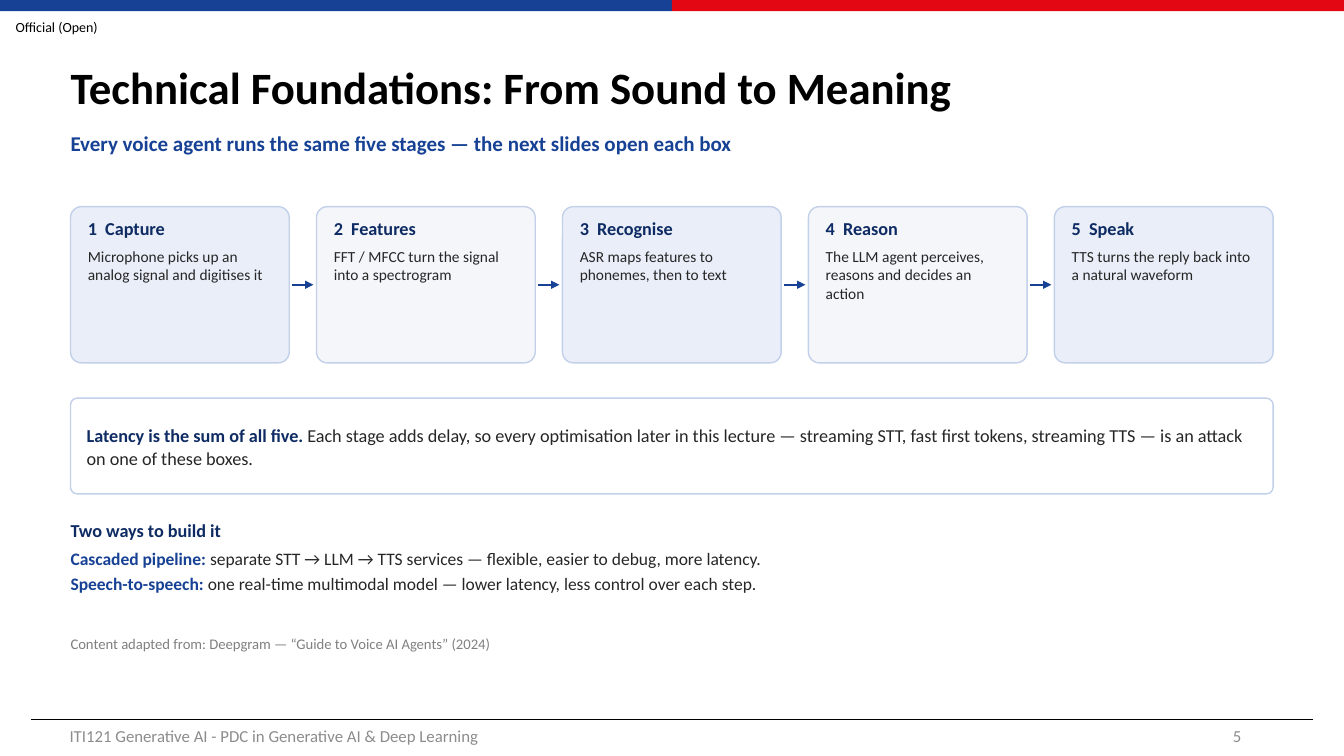
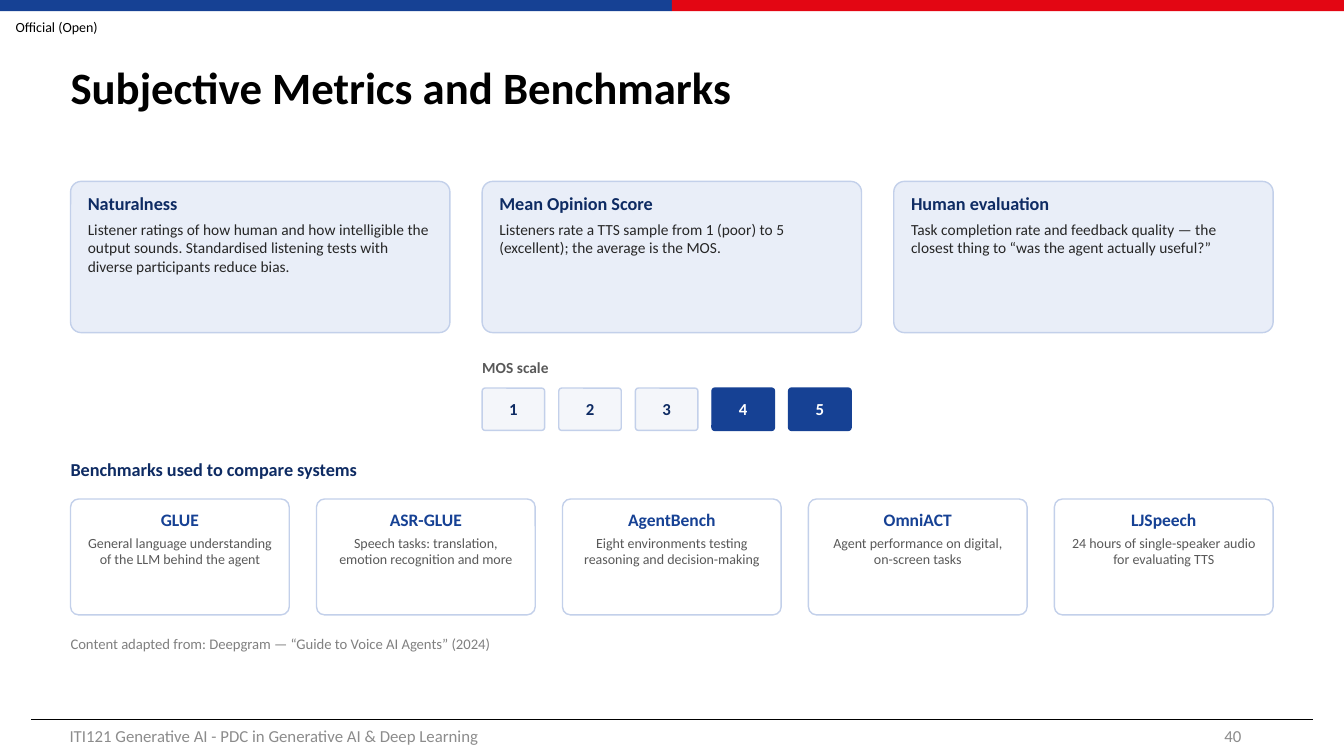
"""Build two lecture slides on voice agents and save them to out.pptx."""
from dataclasses import dataclass

from pptx import Presentation
from pptx.dml.color import RGBColor
from pptx.enum.shapes import MSO_CONNECTOR, MSO_SHAPE
from pptx.enum.text import MSO_ANCHOR, MSO_AUTO_SIZE, PP_ALIGN
from pptx.oxml.ns import qn
from pptx.util import Pt
from lxml import etree

RECT, ROUND = MSO_SHAPE.RECTANGLE, MSO_SHAPE.ROUNDED_RECTANGLE
LINE = MSO_CONNECTOR.STRAIGHT
TOP, MID = MSO_ANCHOR.TOP, MSO_ANCHOR.MIDDLE
LEFT, RIGHT, CENTER = PP_ALIGN.LEFT, PP_ALIGN.RIGHT, PP_ALIGN.CENTER
FIXED = MSO_AUTO_SIZE.NONE


@dataclass(frozen=True)
class Theme:
    """Colours, type sizes and page measures."""
    font: str = "Calibri"
    blue: str = "164194"
    red: str = "E30613"
    navy: str = "0E2B63"
    tint: str = "E9EEF8"
    pale: str = "F4F6FA"
    edge: str = "C3D0EA"
    white: str = "FFFFFF"
    black: str = "000000"
    ink: str = "262626"
    soft: str = "595959"
    mute: str = "808080"
    foot: str = "8C8C8C"
    title: float = 32
    sub: float = 15
    head: float = 13
    item: float = 12.5
    label: float = 12
    body: float = 11
    note: float = 10.5
    small: float = 10
    wide: float = 960
    high: float = 540
    left: float = 50.4
    span: float = 859
    gap: float = 19.44


T = Theme()
PAD = (10.08, 6.48)


def rgb(code):
    """Turn a hex code into a colour."""
    return RGBColor.from_string(code)


def cols(count, gap):
    """Return the left edges and the width of equal columns."""
    width = (T.span - gap * (count - 1)) / count
    return [T.left + i * (width + gap) for i in range(count)], width


def para(runs, size, color=T.ink, bold=False, after=0, line=None, align=LEFT):
    """Describe a paragraph; runs is a string or (text, colour, bold) items."""
    if isinstance(runs, str):
        runs = [(runs, color, bold)]
    return runs, size, after, line, align


class Deck:
    """Hold the style and the current slide."""

    def __init__(self):
        """Start an empty wide deck."""
        self.prs = Presentation()
        self.prs.slide_width, self.prs.slide_height = Pt(T.wide), Pt(T.high)
        self.slide = None

    def page(self, title, num):
        """Add a slide with its title, bands and footer."""
        self.slide = self.prs.slides.add_slide(self.prs.slide_layouts[5])
        half = T.wide / 2
        for x, fill in ((0, T.blue), (half, T.red)):
            self.box(x, 0, half, 8, fill, kind=RECT)
        self.text(11.2, 8.6, 90, 21, [para("Official (Open)", T.small, T.black)], MID)
        self.rule(22.3, 938, 514, T.black, 0.5)
        head = self.slide.shapes.title
        head.left, head.top, head.width, head.height = map(Pt, (43.2, 21.6, 870, 85))
        self.fill(head.text_frame, [para(title, T.title, T.black, True, line=0.9)],
                  MID, (7.2, 3.6))
        course = "ITI121 Generative AI - PDC in Generative AI & Deep Learning"
        self.text(49.7, 511.2, 324, 28.8, [para(course, T.label, T.foot)], MID)
        self.text(678, 511.2, 208.8, 28.8,
                  [para(str(num), T.label, T.foot, align=RIGHT)], MID)
        source = "Content adapted from: Deepgram — “Guide to Voice AI Agents” (2024)"
        self.text(T.left, 453.6, T.span, 21.6, [para(source, T.note, T.mute)])

    def fill(self, frame, paras, anchor=TOP, pad=(0, 0)):
        """Write paragraphs into a text frame."""
        frame.word_wrap, frame.auto_size = True, FIXED
        frame.vertical_anchor = anchor
        frame.margin_left = frame.margin_right = Pt(pad[0])
        frame.margin_top = frame.margin_bottom = Pt(pad[1])
        for i, (runs, size, after, line, align) in enumerate(paras):
            p = frame.add_paragraph() if i else frame.paragraphs[0]
            p.alignment = align
            p.space_before, p.space_after = Pt(0), Pt(after)
            if line:
                p.line_spacing = line
            p.font.name, p.font.size = T.font, Pt(size)
            for words, color, bold in runs:
                run = p.add_run()
                run.text = words
                font = run.font if len(runs) > 1 else p.font
                font.bold, font.color.rgb = bold, rgb(color)

    def text(self, x, y, w, h, paras, anchor=TOP):
        """Add a plain text box without margins."""
        box = self.slide.shapes.add_textbox(Pt(x), Pt(y), Pt(w), Pt(h))
        self.fill(box.text_frame, paras, anchor)

    def box(self, x, y, w, h, fill, edge=None, paras=(), anchor=TOP, pad=PAD, kind=ROUND):
        """Add a filled shape, with an outline and text if given."""
        shape = self.slide.shapes.add_shape(kind, Pt(x), Pt(y), Pt(w), Pt(h))
        shape.shadow.inherit = False
        shape.fill.solid()
        shape.fill.fore_color.rgb = rgb(fill)
        if kind == ROUND:
            shape.adjustments[0] = 0.07
        if edge:
            shape.line.color.rgb, shape.line.width = rgb(edge), Pt(1)
        else:
            shape.line.fill.background()
        if paras:
            self.fill(shape.text_frame, paras, anchor, pad)

    def card(self, x, y, w, h, fill, head, body, after):
        """Add a card with a heading and a short text."""
        self.box(x, y, w, h, fill, T.edge, [
            para(head, T.head, T.navy, True, after, 0.95), para(body, T.body)])

    def rule(self, x, end, y, color, width, arrow=False):
        """Add a level line, with an arrowhead if asked."""
        line = self.slide.shapes.add_connector(LINE, Pt(x), Pt(y), Pt(end), Pt(y))
        line.line.color.rgb, line.line.width = rgb(color), Pt(width)
        props = line.line._get_or_add_ln()
        if arrow:
            etree.SubElement(props, qn("a:tailEnd"), type="triangle")
        etree.SubElement(props.getparent(), qn("a:effectLst"))


def stages(deck):
    """Build the slide on the five stages."""
    deck.page("Technical Foundations: From Sound to Meaning", 5)
    deck.text(T.left, 93.6, T.span, 28.8, [para(
        "Every voice agent runs the same five stages — the next slides open each box",
        T.sub, T.blue, True)])
    steps = (
        ("Capture", "Microphone picks up an analog signal and digitises it"),
        ("Features", "FFT / MFCC turn the signal into a spectrogram"),
        ("Recognise", "ASR maps features to phonemes, then to text"),
        ("Reason", "The LLM agent perceives, reasons and decides an action"),
        ("Speak", "TTS turns the reply back into a natural waveform"),
    )
    top, high = 147.6, 111.6
    edges, width = cols(len(steps), T.gap)
    for i, (x, (head, body)) in enumerate(zip(edges, steps)):
        if i:
            deck.rule(x - T.gap + 2.16, x - 2.16, top + high / 2, T.blue, 1.75, True)
        deck.card(x, top, width, high, T.pale if i % 2 else T.tint,
                  f"{i + 1}  {head}", body, 5)
    deck.box(T.left, 284.4, T.span, 68.4, T.white, T.edge, [para([
        ("Latency is the sum of all five. ", T.navy, True),
        ("Each stage adds delay, so every optimisation later in this lecture — "
         "streaming STT, fast first tokens, streaming TTS — is an attack on one "
         "of these boxes.", T.ink, False)], T.head, line=1.05)], MID)
    deck.text(T.left, 370.8, T.span, 64.8, [
        para("Two ways to build it", T.head, T.navy, True, 5),
        para([("Cascaded pipeline: ", T.blue, True),
              ("separate STT → LLM → TTS services — flexible, easier to debug, "
               "more latency.", T.ink, False)], T.item, after=3),
        para([("Speech-to-speech: ", T.blue, True),
              ("one real-time multimodal model — lower latency, less control over "
               "each step.", T.ink, False)], T.item)])


def metrics(deck):
    """Build the slide on metrics and benchmarks."""
    deck.page("Subjective Metrics and Benchmarks", 40)
    kinds = (
        ("Naturalness", "Listener ratings of how human and how intelligible the output "
         "sounds. Standardised listening tests with diverse participants reduce bias."),
        ("Mean Opinion Score", "Listeners rate a TTS sample from 1 (poor) to 5 "
         "(excellent); the average is the MOS."),
        ("Human evaluation", "Task completion rate and feedback quality — the closest "
         "thing to “was the agent actually useful?”"),
    )
    edges, width = cols(len(kinds), 23.04)
    for x, (head, body) in zip(edges, kinds):
        deck.card(x, 129.6, width, 108, T.tint, head, body, 4)
    start = edges[1]
    deck.text(start, 255.6, width, 21.6, [para("MOS scale", T.body, T.soft, True)])
    for score in range(1, 6):
        good = score > 3
        fill, edge, ink = (T.blue, T.blue, T.white) if good else (T.pale, T.edge, T.navy)
        deck.box(start + (score - 1) * 54.72, 277.2, 44.64, 30.24, fill, edge,
                 [para(str(score), T.label, ink, True, align=CENTER)], MID, (0, 6.48))
    deck.text(T.left, 327.6, T.span, 21.6, [
        para("Benchmarks used to compare systems", T.head, T.navy, True)])
    tests = (
        ("GLUE", "General language understanding of the LLM behind the agent"),
        ("ASR-GLUE", "Speech tasks: translation, emotion recognition and more"),
        ("AgentBench", "Eight environments testing reasoning and decision-making"),
        ("OmniACT", "Agent performance on digital, on-screen tasks"),
        ("LJSpeech", "24 hours of single-speaker audio for evaluating TTS"),
    )
    edges, width = cols(len(tests), T.gap)
    for x, (head, body) in zip(edges, tests):
        deck.box(x, 356.4, width, 82.8, T.white, T.edge, [
            para(head, T.item, T.blue, True, 4, 0.95, CENTER),
            para(body, T.small, T.soft, line=0.95, align=CENTER)])


def main():
    """Build both slides and save the deck."""
    deck = Deck()
    stages(deck)
    metrics(deck)
    deck.prs.save("out.pptx")


if __name__ == "__main__":
    main()
